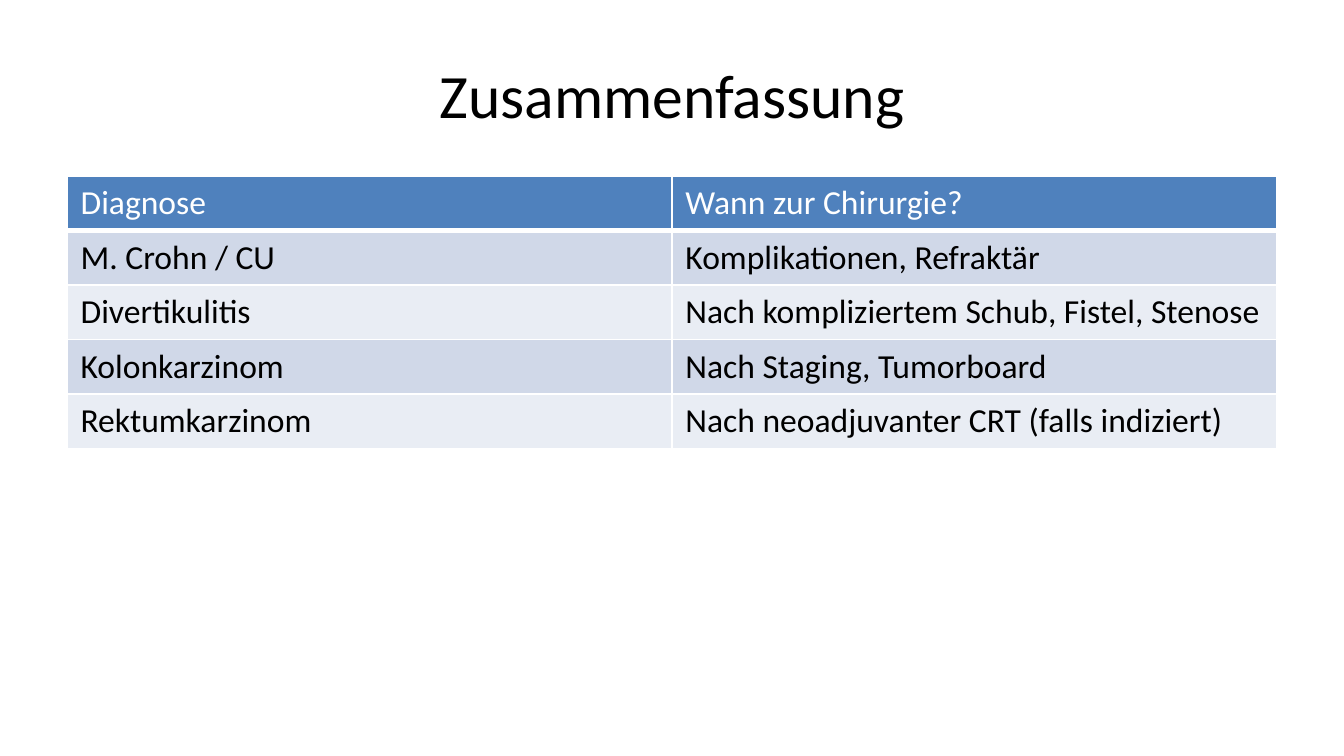
from lxml.etree import SubElement as Sub
from pptx import Presentation
from pptx.dml.color import RGBColor as RGB
from pptx.enum.text import MSO_ANCHOR as Anchor, MSO_AUTO_SIZE as Auto, PP_ALIGN as Align
from pptx.oxml.ns import qn
from pptx.util import Cm, Pt

ROWS = [
    ("Diagnose", "Wann zur Chirurgie?"),
    ("M. Crohn / CU", "Komplikationen, Refraktär"),
    ("Divertikulitis", "Nach kompliziertem Schub, Fistel, Stenose"),
    ("Kolonkarzinom", "Nach Staging, Tumorboard"),
    ("Rektumkarzinom", "Nach neoadjuvanter CRT (falls indiziert)"),
]


def tint(code):
    return RGB.from_string(code)


def assign(item, vals):
    for key, val in vals.items():
        setattr(item, key, val)


class Deck:
    """Holds the style and the current slide, and draws its elements."""

    face = "Calibri"
    dark, light = "000000", "FFFFFF"
    head, bands = "4F81BD", ("D0D8E8", "E9EDF4")

    def __init__(self, wide, high):
        self.prs = Presentation()
        assign(self.prs, {"slide_width": Cm(wide), "slide_height": Cm(high)})
        self.slide = self.prs.slides.add_slide(self.prs.slide_layouts[5])

    def label(self, frame, text, size, color, align):
        para = frame.paragraphs[0]
        para.alignment = align
        run = para.add_run()
        run.text = text
        assign(run.font, {"name": self.face, "size": Pt(size), "bold": False})
        run.font.color.rgb = tint(color)

    def title(self, text, left, top, wide, high):
        box = self.slide.shapes.title
        assign(box, {"left": Cm(left), "top": Cm(top), "width": Cm(wide), "height": Cm(high)})
        assign(box.text_frame, {"auto_size": Auto.NONE, "word_wrap": True,
                                "vertical_anchor": Anchor.MIDDLE})
        self.label(box.text_frame, text, 33, self.dark, Align.CENTER)

    def border(self, cell, base):
        props = cell._tc.get_or_add_tcPr()
        for side, width in {"L": 1, "R": 1, "T": 1, "B": base}.items():
            line = Sub(props, qn(f"a:ln{side}"), w=str(Pt(width)))
            Sub(Sub(line, qn("a:solidFill")), qn("a:srgbClr"), val=self.light)

    def table(self, rows, left, top, wide, step):
        size = len(rows), len(rows[0])
        grid = self.slide.shapes.add_table(
            *size, Cm(left), Cm(top), Cm(wide), Cm(step * len(rows))).table
        for i, row in enumerate(rows):
            grid.rows[i].height = Cm(step)
            fill = self.bands[(i - 1) % 2] if i else self.head
            color = self.dark if i else self.light
            for j, text in enumerate(row):
                cell = grid.cell(i, j)
                self.border(cell, 1 if i else 3)
                cell.fill.solid()
                cell.fill.fore_color.rgb = tint(fill)
                self.label(cell.text_frame, text, 18, color, Align.LEFT)

    def save(self):
        self.prs.save("out.pptx")


def main():
    deck = Deck(25.4, 14.29)
    deck.title("Zusammenfassung", 1.27, 0.58, 22.86, 2.39)
    deck.table(ROWS, 1.27, 3.33, 22.86, 1.03)
    deck.save()


if __name__ == "__main__":
    main()
